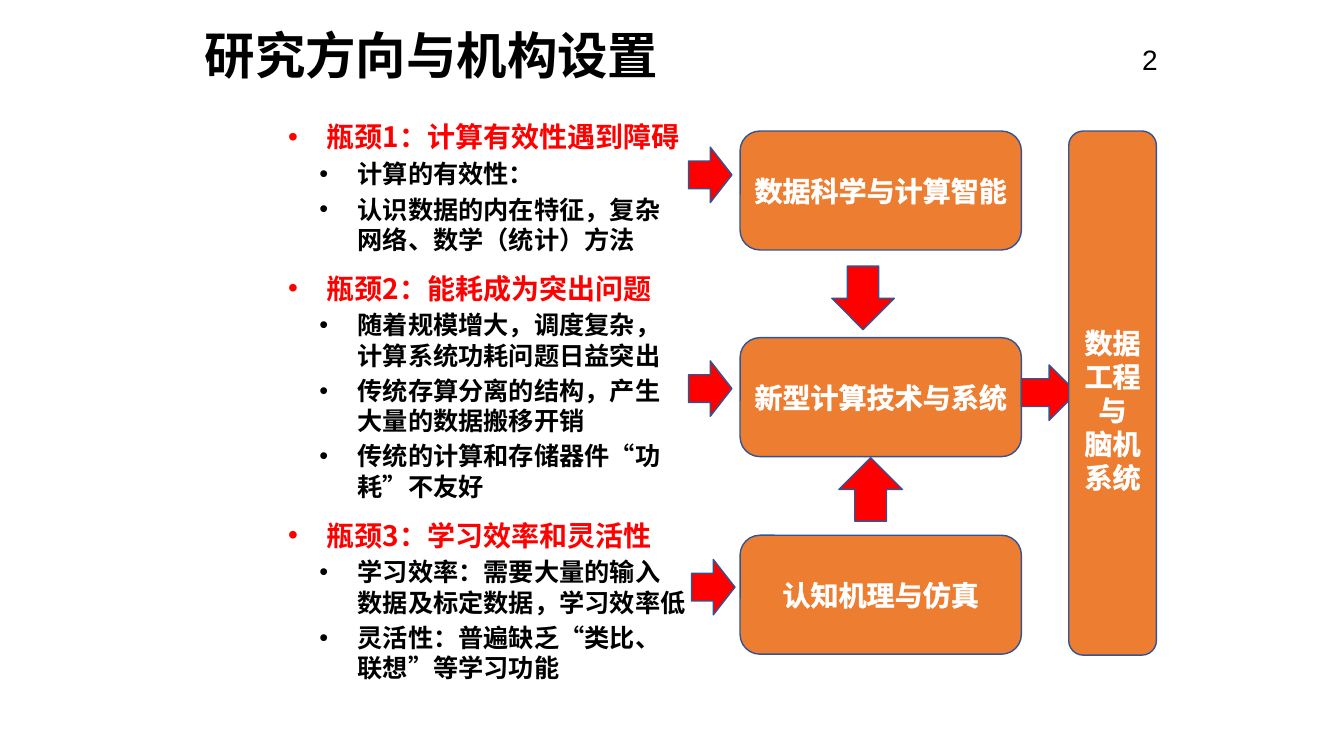
import pptx
import pptx.util
import pptx.dml.color
import pptx.enum.shapes
import pptx.enum.text
import pptx.oxml.ns
import lxml.etree

Inches = pptx.util.Inches
Pt = pptx.util.Pt
SHAPE = pptx.enum.shapes.MSO_SHAPE
ALIGN = pptx.enum.text.PP_ALIGN
ANCHOR = pptx.enum.text.MSO_ANCHOR
CJK_FONT = "Noto Sans CJK SC"
RED, BLACK, WHITE = "FF0000", "000000", "FFFFFF"
ORANGE, BORDER = "ED7D31", "325491"

BOTTLENECKS = [
    ("瓶颈1：计算有效性遇到障碍", [
        "计算的有效性：",
        "认识数据的内在特征，复杂 网络、数学（统计）方法",
    ]),
    ("瓶颈2：能耗成为突出问题", [
        "随着规模增大，调度复杂， 计算系统功耗问题日益突出",
        "传统存算分离的结构，产生 大量的数据搬移开销",
        "传统的计算和存储器件“功 耗”不友好",
    ]),
    ("瓶颈3：学习效率和灵活性", [
        "学习效率：需要大量的输入 数据及标定数据，学习效率低",
        "灵活性：普遍缺乏“类比、 联想”等学习功能",
    ]),
]
DIRECTIONS = [
    ("数据科学与计算智能", 1.3),
    ("新型计算技术与系统", 3.35),
    ("认知机理与仿真", 5.31),
]
ARROWS = [
    (SHAPE.RIGHT_ARROW, 6.83, 1.46, 0.43, 0.55, 0),
    (SHAPE.RIGHT_ARROW, 6.83, 3.58, 0.43, 0.55, 0),
    (SHAPE.RIGHT_ARROW, 6.86, 5.55, 0.43, 0.55, 0),
    (SHAPE.DOWN_ARROW, 8.25, 2.64, 0.62, 0.63, 0),
    (SHAPE.DOWN_ARROW, 8.32, 4.54, 0.63, 0.63, 180),
    (SHAPE.RIGHT_ARROW, 10.13, 3.62, 0.55, 0.55, 0),
]


def color(value):
    return pptx.dml.color.RGBColor.from_string(value)


def add_child(parent, tag, **attributes):
    return lxml.etree.SubElement(parent, pptx.oxml.ns.qn(tag), attributes)


def add_run(paragraph, text, size, font, text_color, bold=True):
    run = paragraph.add_run()
    run.text = text
    run.font.size = Pt(size)
    run.font.bold = bold
    run.font.name = font
    run.font.color.rgb = color(text_color)
    add_child(run.font._element, "a:ea", typeface=CJK_FONT)
    return run


def outline_text(run, line_color):
    properties = run.font._element
    line = add_child(properties, "a:ln", w=str(Pt(0.75)))
    fill = add_child(line, "a:solidFill")
    add_child(fill, "a:srgbClr", val=line_color)
    properties.insert(0, line)


def next_paragraph(frame, is_first):
    return frame.paragraphs[0] if is_first else frame.add_paragraph()


def add_text_frame(slide, left, top, width, height):
    shape = slide.shapes.add_textbox(
        Inches(left), Inches(top), Inches(width), Inches(height))
    shape.text_frame.word_wrap = True
    return shape.text_frame


def add_block(slide, kind, left, top, width, height, fill):
    shape = slide.shapes.add_shape(
        kind, Inches(left), Inches(top), Inches(width), Inches(height))
    shape.shadow.inherit = False
    shape.fill.solid()
    shape.fill.fore_color.rgb = color(fill)
    shape.line.color.rgb = color(BORDER)
    shape.line.width = Pt(1)
    return shape


def add_arrow(slide, kind, left, top, width, height, rotation):
    arrow = add_block(slide, kind, left, top, width, height, RED)
    arrow.rotation = rotation


def add_box(slide, lines, left, top, width, height, margin_top=0.05):
    frame = add_block(slide, SHAPE.ROUNDED_RECTANGLE,
                      left, top, width, height, ORANGE).text_frame
    frame.word_wrap = True
    frame.vertical_anchor = ANCHOR.MIDDLE
    frame.margin_left = frame.margin_right = Inches(0.04)
    frame.margin_top = Inches(margin_top)
    frame.margin_bottom = Inches(0.05)
    for index, line in enumerate(lines):
        paragraph = next_paragraph(frame, index == 0)
        paragraph.alignment = ALIGN.CENTER
        outline_text(add_run(paragraph, line, 20, "Arial", WHITE), WHITE)


def add_bullet(frame, text, size, indent, space, text_color, is_first=False):
    paragraph = next_paragraph(frame, is_first)
    if not is_first:
        paragraph.space_before = Pt(space)
    properties = paragraph._p.get_or_add_pPr()
    properties.set("marL", str(Inches(indent)))
    properties.set("indent", str(Inches(-0.38)))
    add_child(properties, "a:buFont", typeface="Arial")
    add_child(properties, "a:buChar", char="•")
    add_run(paragraph, text, size, CJK_FONT, text_color)


def add_bottlenecks(slide):
    frame = add_text_frame(slide, 2.76, 1.14, 4.06, 5.91)
    frame.margin_right = 0
    for index, (heading, details) in enumerate(BOTTLENECKS):
        add_bullet(frame, heading, 20, 0.38, 12, RED, index == 0)
        for detail in details:
            add_bullet(frame, detail, 18, 0.69, 3.6, BLACK)


def set_title(slide, text):
    title = slide.shapes.title
    title.left, title.top = Inches(1.93), Inches(0.23)
    title.width, title.height = Inches(9.43), Inches(0.7)
    title.text_frame.vertical_anchor = ANCHOR.MIDDLE
    paragraph = title.text_frame.paragraphs[0]
    paragraph.alignment = ALIGN.LEFT
    paragraph.line_spacing = 0.9
    add_run(paragraph, text, 36, "Courier New", BLACK)


def add_page_number(slide, number):
    frame = add_text_frame(slide, 11.04, 0.39, 0.54, 0.4)
    frame.vertical_anchor = ANCHOR.MIDDLE
    paragraph = frame.paragraphs[0]
    paragraph.alignment = ALIGN.RIGHT
    add_run(paragraph, number, 20, "Arial", BLACK, bold=False)


def main():
    presentation = pptx.Presentation()
    presentation.slide_width = Inches(13.33)
    presentation.slide_height = Inches(7.5)
    slide = presentation.slides.add_slide(presentation.slide_layouts[5])
    set_title(slide, "研究方向与机构设置")
    add_bottlenecks(slide)
    for name, top in DIRECTIONS:
        add_box(slide, [name], 7.34, top, 2.79, 1.18)
    for arrow in ARROWS:
        add_arrow(slide, *arrow)
    add_box(slide, ["数据工程与", "脑机系统"], 10.6, 1.3, 0.87, 5.2, margin_top=0.38)
    add_page_number(slide, "2")
    presentation.save("out.pptx")


if __name__ == "__main__":
    main()
